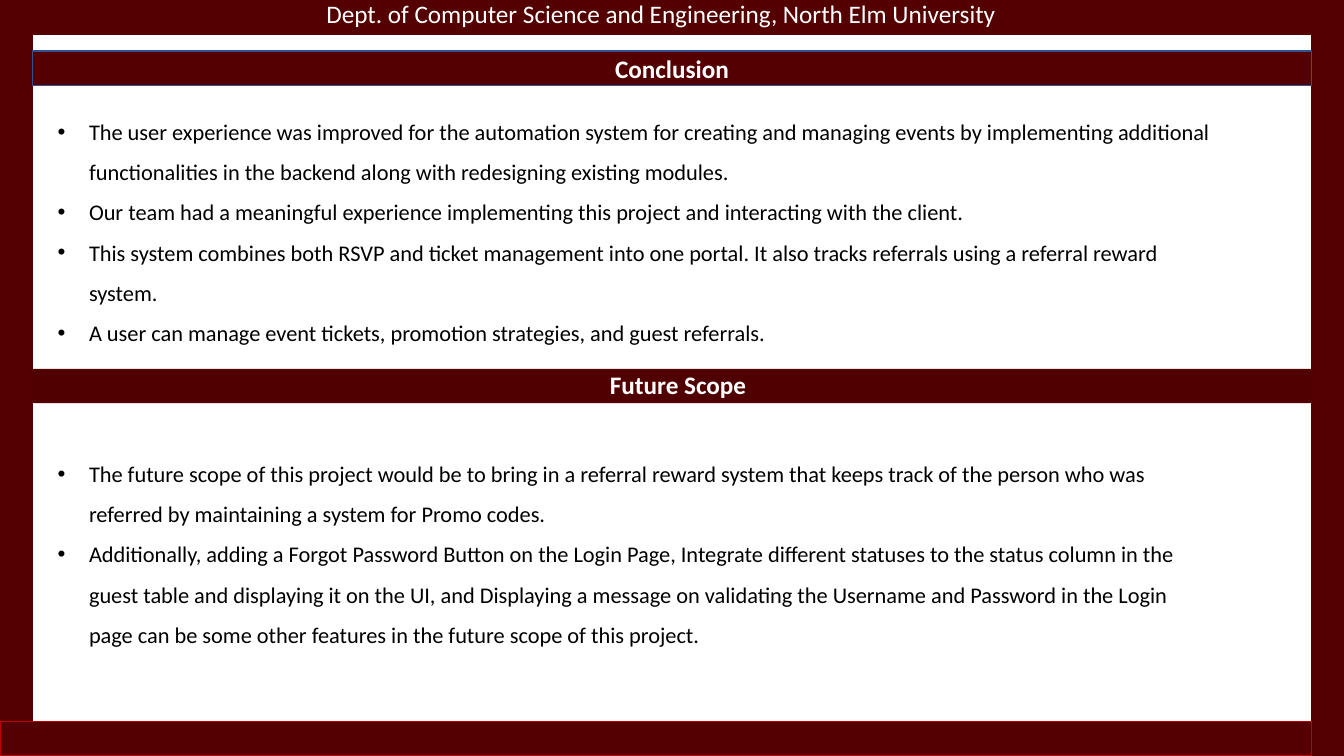
"""Build the conclusion and future scope slide."""
from lxml import etree
from pptx import Presentation
from pptx.dml.color import RGBColor
from pptx.enum import shapes, text
from pptx.oxml import ns
from pptx.util import Pt

FONT = "Calibri"
MAROON, WHITE, BLACK = "540000", "FFFFFF", "000000"
SLIDE_W, SLIDE_H = 960, 540
EDGE, BAR = 23.3, 24.5
INNER_W = SLIDE_W - 2 * EDGE
RIGHT = SLIDE_W - EDGE
INDENT = 22.5

CONCLUSIONS = [
    "The user experience was improved for the automation system for creating and "
    "managing events by implementing additional functionalities in the backend along "
    "with redesigning existing modules.",
    "Our team had a meaningful experience implementing this project and interacting "
    "with the client.",
    "This system combines both RSVP and ticket management into one portal. It also "
    "tracks referrals using a referral reward system.",
    "A user can manage event tickets, promotion strategies, and guest referrals.",
]
FUTURE_SCOPE = [
    "The future scope of this project would be to bring in a referral reward system "
    "that keeps track of the person who was referred by maintaining a system for "
    "Promo codes.",
    "Additionally, adding a Forgot Password Button on the Login Page, Integrate "
    "different statuses to the status column in the guest table and displaying it on "
    "the UI, and Displaying a message on validating the Username and Password in the "
    "Login page can be some other features in the future scope of this project.",
]


def paint(target, color):
    """Give a fill a solid colour from a hex string."""
    target.solid()
    target.fore_color.rgb = RGBColor.from_string(color)


def add_words(paragraph, words, size, color, bold=False):
    """Add one styled run to a paragraph."""
    run = paragraph.add_run()
    run.text = words
    run.font.name, run.font.size, run.font.bold = FONT, Pt(size), bold
    paint(run.font.fill, color)


def add_bar(slide, left, top, width, height, fill=MAROON, outline=MAROON):
    """Add a flat rectangle, outlined unless outline is None."""
    bar = slide.shapes.add_shape(
        shapes.MSO_SHAPE.RECTANGLE, Pt(left), Pt(top), Pt(width), Pt(height))
    bar.shadow.inherit = False
    paint(bar.fill, fill)
    if outline:
        paint(bar.line.fill, outline)
        bar.line.width = Pt(1)
    else:
        bar.line.fill.background()
    return bar


def add_text_box(slide, left, top, width, height, inset=3.6):
    """Add a wrapping text box and return its text frame."""
    frame = slide.shapes.add_textbox(
        Pt(left), Pt(top), Pt(width), Pt(height)).text_frame
    frame.word_wrap = True
    frame.margin_top = frame.margin_bottom = Pt(inset)
    return frame


def add_heading(slide, words, left, top, width, bold=False):
    """Add a white one-line heading."""
    frame = add_text_box(slide, left, top, width, 29)
    add_words(frame.paragraphs[0], words, 18, WHITE, bold)


def set_bullet(paragraph):
    """Give a paragraph a hanging black bullet."""
    properties = paragraph._p.get_or_add_pPr()
    properties.set("marL", str(Pt(INDENT)))
    properties.set("indent", str(-Pt(INDENT)))
    color = etree.SubElement(properties, ns.qn("a:buClr"))
    etree.SubElement(color, ns.qn("a:srgbClr"), val=BLACK)
    etree.SubElement(properties, ns.qn("a:buFont"), typeface="Arial")
    etree.SubElement(properties, ns.qn("a:buChar"), char="•")


def add_bullets(slide, points, left, top, width, height, inset=3.6):
    """Add a bulleted list with wide line spacing."""
    frame = add_text_box(slide, left, top, width, height, inset)
    for index, point in enumerate(points):
        paragraph = frame.add_paragraph() if index else frame.paragraphs[0]
        paragraph.line_spacing = 1.5
        set_bullet(paragraph)
        add_words(paragraph, point, 16, BLACK)


def add_frame(slide):
    """Add the four bars around the slide."""
    add_bar(slide, 0, 0, RIGHT, BAR)
    for left in (0, RIGHT):
        add_bar(slide, left, 0, EDGE, SLIDE_H)
    add_bar(slide, 0, SLIDE_H - BAR, RIGHT, BAR, outline="C00000")


def main():
    """Build and save the slide."""
    deck = Presentation()
    deck.slide_width, deck.slide_height = Pt(SLIDE_W), Pt(SLIDE_H)
    slide = deck.slides.add_slide(deck.slide_layouts[6])
    add_frame(slide)
    add_heading(slide, "Dept. of Computer Science and Engineering, North Elm University",
                226, -5, 536.5)

    conclusion = add_bar(slide, EDGE, 36.5, INNER_W, BAR, outline="31538F").text_frame
    conclusion.vertical_anchor = text.MSO_ANCHOR.MIDDLE
    title = conclusion.paragraphs[0]
    title.alignment = text.PP_ALIGN.CENTER
    add_words(title, "Conclusion", 18, WHITE, bold=True)
    add_bullets(slide, CONCLUSIONS, 34, 67.5, 849, 189.5, inset=7.2)

    add_bar(slide, EDGE, 263.5, INNER_W, BAR, fill="500000", outline=None)
    add_heading(slide, "Future Scope", 428.5, 260.5, 176.5, bold=True)
    add_bullets(slide, FUTURE_SCOPE, 34, 315.5, 832.5, 150)
    deck.save("out.pptx")


if __name__ == "__main__":
    main()
